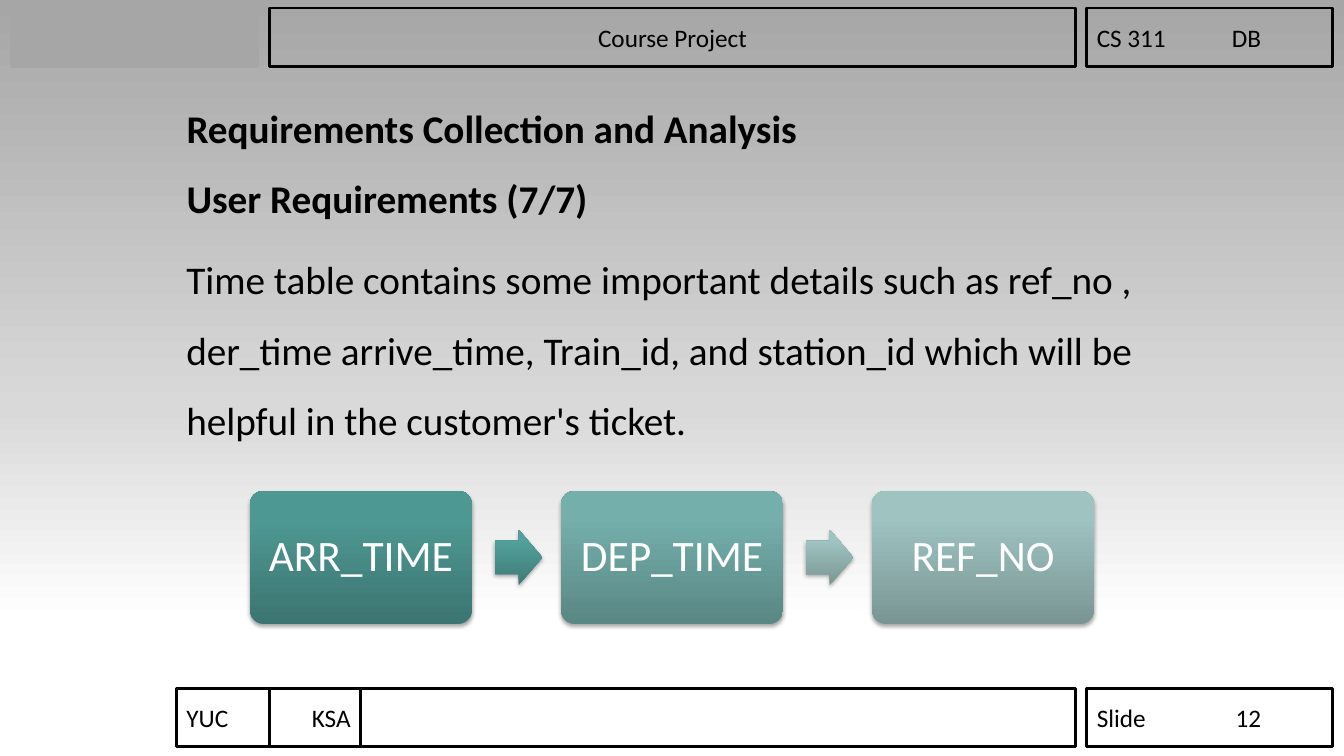
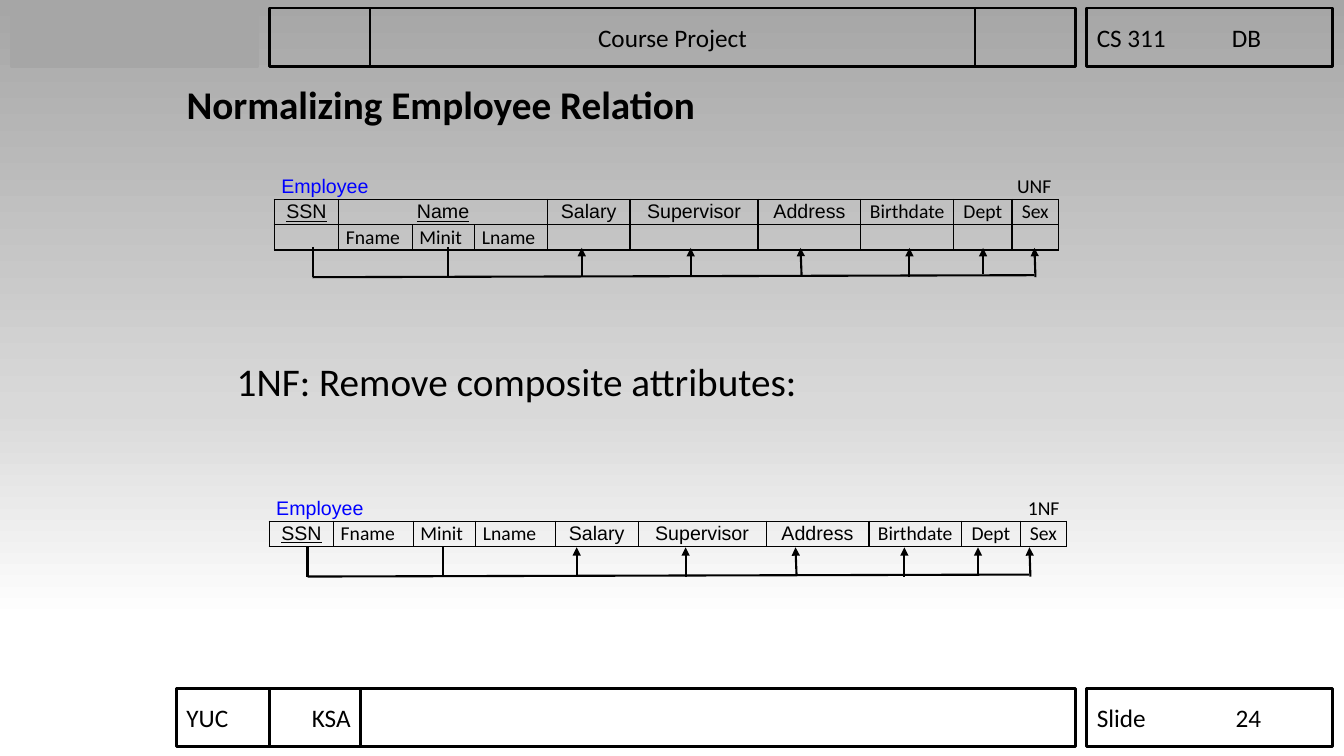
from dataclasses import dataclass

from lxml import etree
from pptx import Presentation
from pptx.dml.color import RGBColor
from pptx.enum.shapes import MSO_CONNECTOR, MSO_SHAPE
from pptx.enum.text import MSO_ANCHOR, MSO_AUTO_SIZE, PP_ALIGN
from pptx.oxml.ns import qn
from pptx.util import Pt

EMU_PER_PX = 9144  # 100 px to the inch
LEFT, CENTER, RIGHT = PP_ALIGN.LEFT, PP_ALIGN.CENTER, PP_ALIGN.RIGHT


@dataclass(frozen=True)
class Theme:
    font: str = "Calibri"
    table_font: str = "Arial"
    ink: str = "000000"
    white: str = "FFFFFF"
    relation: str = "0000FF"
    grey: str = "A6A6A6"
    backdrop: tuple = ((0, "A6A6A6"), (54, "D9D9D9"), (82, "FFFFFF"), (100, "FFFFFF"))
    steps: tuple = (
        ((0, "3C7571"), (80, "4E9893"), (100, "4D9A95")),
        ((0, "598784"), (80, "74AFAB"), (100, "74B1AD")),
        ((0, "7A9694"), (80, "9EC3C1"), (100, "9FC5C2")),
    )
    arrows: tuple = (
        ((0, "3F7B77"), (80, "52A09B"), (100, "51A29D")),
        ((0, "7A9694"), (80, "9EC3C0"), (100, "9EC5C2")),
    )
    body_size: int = 28
    band_size: int = 18
    step_size: int = 31
    cell_size: int = 14
    frame_line: float = 2
    arrow_line: float = 1.5


T = Theme()


# Helpers
def px(n):
    return round(n * EMU_PER_PX)


def sub(parent, tag, **attrs):
    return etree.SubElement(parent, qn(tag), {k: str(v) for k, v in attrs.items()})


def put(tf, text, size=T.body_size, font=T.font, color=T.ink, bold=False,
        underline=False, align=LEFT, spacing=None, tab=None):
    """Write text into a frame, one paragraph for each line."""
    for i, line in enumerate(text.split("\n")):
        p = tf.paragraphs[0] if i == 0 else tf.add_paragraph()
        p.alignment = align
        if spacing:
            p.line_spacing = spacing
        if tab:
            tabs = sub(p._p.get_or_add_pPr(), "a:tabLst")
            sub(tabs, "a:tab", pos=px(tab), algn="r")
        if not line:
            p._p.get_or_add_endParaRPr().set("sz", str(size * 100))
            continue
        r = p.add_run()
        r.text = line
        f = r.font
        f.name, f.size, f.bold, f.underline = font, Pt(size), bold, underline
        f.color.rgb = RGBColor.from_string(color)


def gradient(fill, stops, angle):
    fill.gradient()
    fill.gradient_angle = angle
    gs_lst = fill.gradient_stops[0]._gs.getparent()
    for gs in list(gs_lst):
        gs_lst.remove(gs)
    for pos, color in stops:
        sub(sub(gs_lst, "a:gs", pos=pos * 1000), "a:srgbClr", val=color)


def rect(slide, x, y, w, h, text="", align=LEFT, fill=None, line=T.ink):
    sp = slide.shapes.add_shape(MSO_SHAPE.RECTANGLE, px(x), px(y), px(w), px(h))
    sp.shadow.inherit = False
    if fill:
        sp.fill.solid()
        sp.fill.fore_color.rgb = RGBColor.from_string(fill)
    else:
        sp.fill.background()
    sp.line.color.rgb = RGBColor.from_string(line)
    sp.line.width = Pt(T.frame_line)
    if text:
        sp.text_frame.vertical_anchor = MSO_ANCHOR.MIDDLE
        put(sp.text_frame, text, size=T.band_size, align=align, tab=163)
    return sp


def glossy(slide, kind, x, y, w, h, stops, adjustments):
    """Gradient shape with a soft shadow below it."""
    sp = slide.shapes.add_shape(kind, px(x), px(y), px(w), px(h))
    for i, value in enumerate(adjustments):
        sp.adjustments[i] = value
    gradient(sp.fill, stops, 90)
    sp.line.fill.background()
    sp.shadow.inherit = False
    effects = sp._element.spPr.find(qn("a:effectLst"))
    shadow = sub(effects, "a:outerShdw", blurRad=Pt(3.1), dist=Pt(1.8),
                 dir=5400000, rotWithShape=0)
    sub(sub(shadow, "a:srgbClr", val="000000"), "a:alpha", val=35000)
    return sp


def line(slide, x1, y1, x2, y2, arrow=False):
    c = slide.shapes.add_connector(MSO_CONNECTOR.STRAIGHT, px(x1), px(y1), px(x2), px(y2))
    c.line.color.rgb = RGBColor.from_string(T.ink)
    c.line.width = Pt(T.arrow_line)
    if arrow:
        sub(c.line._get_or_add_ln(), "a:tailEnd", type="triangle")
    sub(c._element.spPr, "a:effectLst")


# Shared parts
def bands(slide, number):
    top, bottom, h = 8, 683, 58
    rect(slide, 11, top, 245, h, fill=T.grey, line=T.grey)
    rect(slide, 267, top, 800, h, "Course Project", CENTER)
    rect(slide, 1078, top, 244, h, "CS 311\tDB")
    rect(slide, 267, bottom, 800, h)
    rect(slide, 175, bottom, 183, h, "YUC\tKSA")
    rect(slide, 1078, bottom, 244, h, f"Slide\t{number}")


def new_slide(prs, number, title, title_height, spacing=None):
    slide = prs.slides.add_slide(prs.slide_layouts[5])
    bands(slide, number)
    sp = slide.shapes.title
    sp.left, sp.top, sp.width, sp.height = px(175), px(75), px(983), px(title_height)
    tf = sp.text_frame
    tf.auto_size = MSO_AUTO_SIZE.NONE
    tf.vertical_anchor = MSO_ANCHOR.TOP
    put(tf, title, bold=True, spacing=spacing)
    return slide


def paragraph(slide, x, y, w, h, text, spacing=None):
    tf = slide.shapes.add_textbox(px(x), px(y), px(w), px(h)).text_frame
    tf.word_wrap = True
    put(tf, text, spacing=spacing)


# Row of steps joined by block arrows
def step_row(slide, x, y, w, h, labels):
    step_w, arrow_w, arrow_h = 220, 47, 55
    pitch = (w - step_w) / (len(labels) - 1)
    for i, (label, stops) in enumerate(zip(labels, T.steps)):
        left = x + i * pitch
        sp = glossy(slide, MSO_SHAPE.ROUNDED_RECTANGLE, left, y, step_w, h, stops, [0.1])
        tf = sp.text_frame
        tf.margin_left = tf.margin_right = px(8)
        tf.vertical_anchor = MSO_ANCHOR.MIDDLE
        put(tf, label, size=T.step_size, color=T.white, align=CENTER, spacing=0.9)
        if i < len(labels) - 1:
            glossy(slide, MSO_SHAPE.RIGHT_ARROW, left + step_w + 23, y + (h - arrow_h) / 2,
                   arrow_w, arrow_h, T.arrows[i], [0.6, 0.5])


# Relation tables
def borders(cell, sides):
    tcPr = cell._tc.get_or_add_tcPr()
    for side in "LRTB":
        ln = sub(tcPr, f"a:ln{side}", w=Pt(1))
        if side in sides:
            sub(sub(ln, "a:solidFill"), "a:srgbClr", val=T.ink)
        else:
            sub(ln, "a:noFill")


def cell_format(row, text):
    if row == 0:
        if text == "Employee":
            return {"font": T.table_font, "color": T.relation}
        return {"align": RIGHT}
    fmt = {"align": LEFT if text in ("Fname", "Minit", "Lname") else CENTER}
    if text in ("SSN", "Name", "Salary", "Supervisor", "Address"):
        fmt["font"] = T.table_font
    fmt["underline"] = text in ("SSN", "Name")
    return fmt


def relation(slide, x, y, widths, form, rows, merges=()):
    row_h = 25
    caption = ["Employee"] + [""] * 7 + [form, ""]
    grid = [caption, *rows]
    frame = slide.shapes.add_table(len(grid), len(widths), px(x), px(y),
                                   px(sum(widths)), px(row_h * len(grid)))
    table = frame.table
    table.first_row = table.horz_banding = False
    for column, width in zip(table.columns, widths):
        column.width = px(width)
    for r, texts in enumerate(grid):
        table.rows[r].height = px(row_h)
        for c, text in enumerate(texts):
            cell = table.cell(r, c)
            borders(cell, "LRTB" if r else "B")
            cell.fill.background()
            cell.margin_left = cell.margin_right = px(7)
            cell.margin_top = cell.margin_bottom = 0
            cell.vertical_anchor = MSO_ANCHOR.MIDDLE
            put(cell.text_frame, text, size=T.cell_size, **cell_format(r, text))
    for r, first, last in ((0, 0, 3), (0, 8, 9), *merges):
        table.cell(r, first).merge(table.cell(r, last))


def dependencies(slide, x, y):
    """Rail from the key columns with an arrow up to each dependent one."""
    for key in (38, 172):
        line(slide, x + key, y, x + key, y + 30)
    line(slide, x + 38, y + 30, x + 754, y + 28)
    for foot, drop, tip in ((305, 30, 305), (413, 30, 413), (523, 28, 522),
                            (630, 30, 630), (703, 27, 703), (755, 30, 754)):
        line(slide, x + foot, y + drop, x + tip, y + 1, arrow=True)


# Slides
def requirements_slide(prs):
    slide = new_slide(prs, 12, "Requirements Collection and Analysis\nUser Requirements (7/7)",
                      150, spacing=1.5)
    paragraph(slide, 175, 225, 983, 230,
              "Time table contains some important details such as ref_no , der_time "
              "arrive_time, Train_id, and station_id which will be helpful in the "
              "customer's ticket.", spacing=1.5)
    step_row(slide, 248, 487, 837, 132, ["ARR_TIME", "DEP_TIME", "REF_NO"])


def normalizing_slide(prs):
    slide = new_slide(prs, 24, "Normalizing Employee Relation", 60)
    rect(slide, 367, 8, 600, 58)
    name_parts = ["Fname", "Minit", "Lname"]
    others = ["Salary", "Supervisor", "Address", "Birthdate", "Dept", "Sex"]
    other_widths = [82, 127, 102, 92, 58, 46]

    relation(slide, 272, 173, [64, 73, 62, 72, *other_widths], "UNF",
             [["SSN", "Name", "", "", *others], ["", *name_parts] + [""] * 6],
             merges=[(1, 1, 3)])
    dependencies(slide, 272, 245)

    paragraph(slide, 225, 350, 933, 60, "1NF: Remove composite attributes:")

    relation(slide, 267, 492, [64, 79, 62, 79, *other_widths], "1NF",
             [["SSN", *name_parts, *others]])
    dependencies(slide, 267, 542)


def main():
    prs = Presentation()
    prs.slide_width, prs.slide_height = px(1333), px(750)
    gradient(prs.slide_master.background.fill, T.backdrop, 270)
    requirements_slide(prs)
    normalizing_slide(prs)
    prs.save("out.pptx")


if __name__ == "__main__":
    main()
